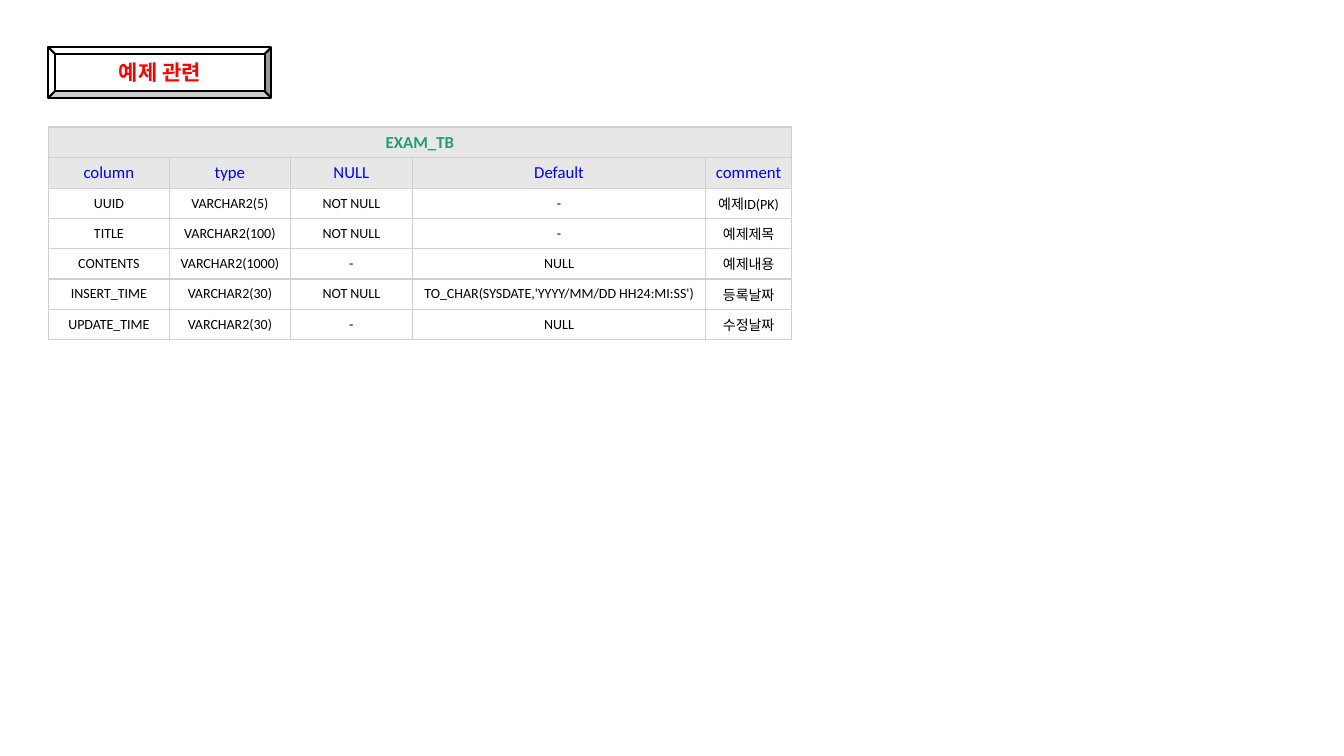
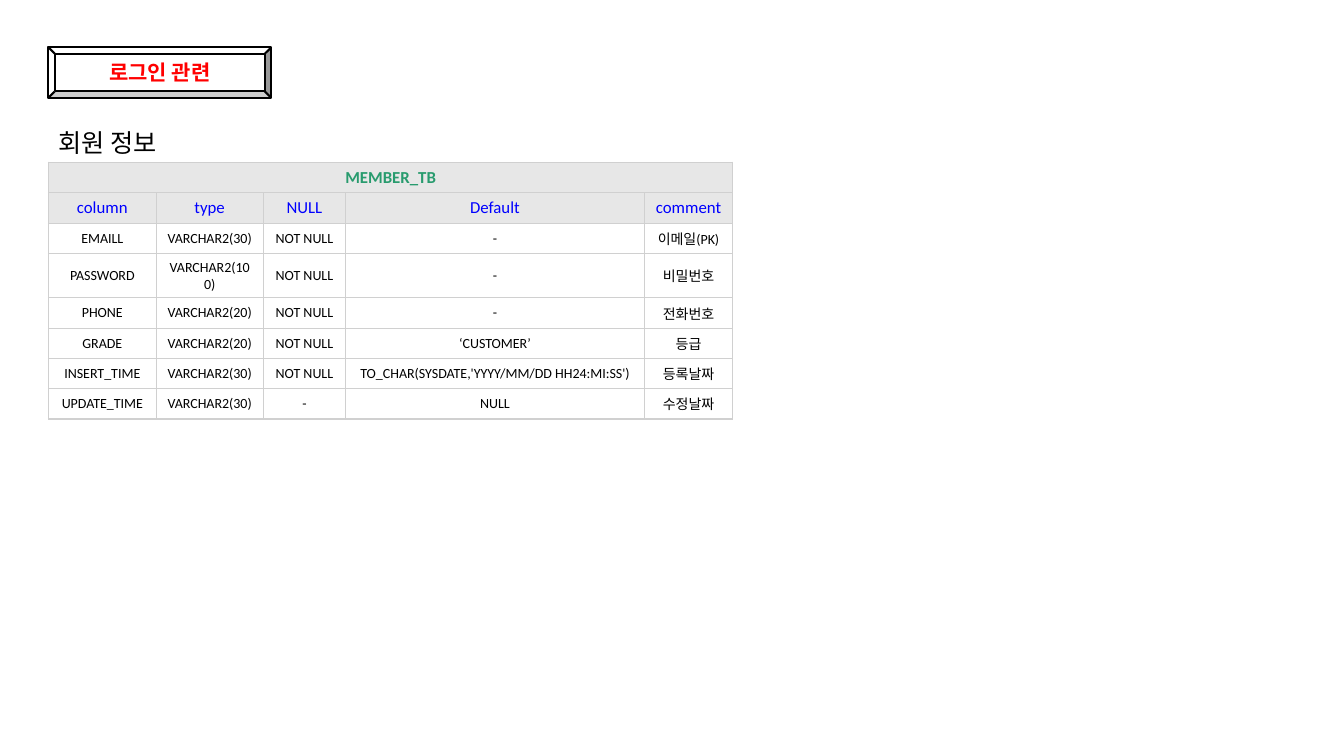
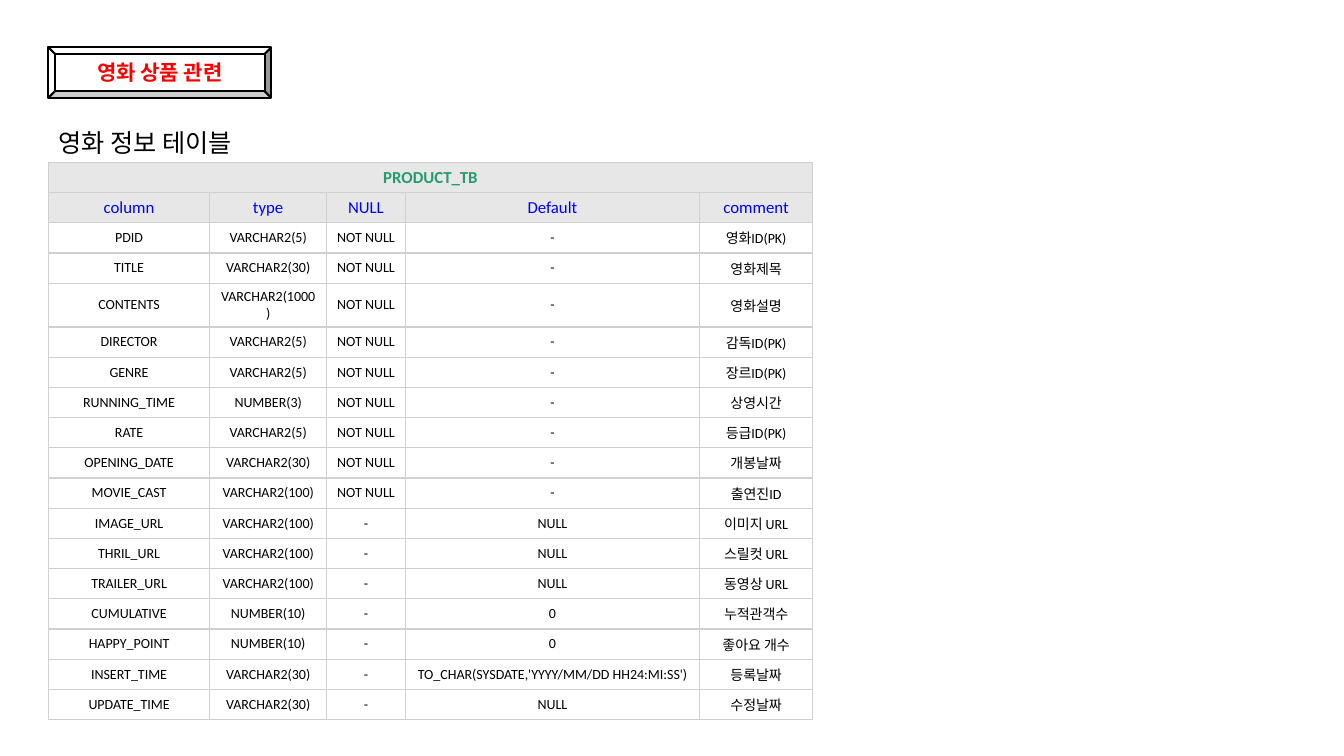
from dataclasses import dataclass

from lxml import etree
from pptx import Presentation
from pptx.dml.color import RGBColor
from pptx.enum.shapes import MSO_SHAPE
from pptx.enum.text import MSO_ANCHOR, PP_ALIGN
from pptx.oxml.ns import qn
from pptx.util import Inches, Pt

BEVEL = MSO_SHAPE.BEVEL
MIDDLE = MSO_ANCHOR.MIDDLE
CENTER = PP_ALIGN.CENTER


@dataclass(frozen=True)
class Theme:
    font: str = "Calibri"
    white: str = "FFFFFF"
    black: str = "000000"
    title: str = "FF0000"
    table_name: str = "289B6E"
    heading: str = "0000FF"
    heading_fill: str = "E7E7E7"
    grid: str = "D0D0D0"
    title_size: float = 15
    caption_size: float = 18
    heading_size: float = 12
    body_size: float = 10
    grid_width: float = 1
    title_line: float = 1.5


THEME = Theme()
LEFT = Inches(0.48)
ROW_HEIGHT = 0.3
HEADINGS = ("column", "type", "NULL", "Default", "comment")
NOW = "TO_CHAR(SYSDATE,'YYYY/MM/DD HH24:MI:SS')"
UPDATE_TIME = ("UPDATE_TIME", "VARCHAR2(30)", "-", "NULL", "수정날짜")

SLIDES = [
    {
        "title": "예제 관련",
        "caption": None,
        "top": 1.26,
        "table": "EXAM_TB",
        "widths": (1.2, 1.2, 1.21, 2.91, 0.85),
        "rows": [
            ("UUID", "VARCHAR2(5)", "NOT NULL", "-", "예제ID(PK)"),
            ("TITLE", "VARCHAR2(100)", "NOT NULL", "-", "예제제목"),
            ("CONTENTS", "VARCHAR2(1000)", "-", "NULL", "예제내용"),
            ("INSERT_TIME", "VARCHAR2(30)", "NOT NULL", NOW, "등록날짜"),
            UPDATE_TIME,
        ],
    },
    {
        "title": "로그인 관련",
        "caption": "회원 정보",
        "top": 1.61,
        "table": "MEMBER_TB",
        "widths": (1.07, 1.06, 0.82, 2.96, 0.88),
        "rows": [
            ("EMAILL", "VARCHAR2(30)", "NOT NULL", "-", "이메일(PK)"),
            ("PASSWORD", "VARCHAR2(100)", "NOT NULL", "-", "비밀번호"),
            ("PHONE", "VARCHAR2(20)", "NOT NULL", "-", "전화번호"),
            ("GRADE", "VARCHAR2(20)", "NOT NULL", "‘CUSTOMER’", "등급"),
            ("INSERT_TIME", "VARCHAR2(30)", "NOT NULL", NOW, "등록날짜"),
            UPDATE_TIME,
        ],
    },
    {
        "title": "영화 상품 관련",
        "caption": "영화 정보 테이블",
        "top": 1.61,
        "table": "PRODUCT_TB",
        "widths": (1.6, 1.16, 0.78, 2.92, 1.12),
        "rows": [
            ("PDID", "VARCHAR2(5)", "NOT NULL", "-", "영화ID(PK)"),
            ("TITLE", "VARCHAR2(30)", "NOT NULL", "-", "영화제목"),
            ("CONTENTS", "VARCHAR2(1000)", "NOT NULL", "-", "영화설명"),
            ("DIRECTOR", "VARCHAR2(5)", "NOT NULL", "-", "감독ID(PK)"),
            ("GENRE", "VARCHAR2(5)", "NOT NULL", "-", "장르ID(PK)"),
            ("RUNNING_TIME", "NUMBER(3)", "NOT NULL", "-", "상영시간"),
            ("RATE", "VARCHAR2(5)", "NOT NULL", "-", "등급ID(PK)"),
            ("OPENING_DATE", "VARCHAR2(30)", "NOT NULL", "-", "개봉날짜"),
            ("MOVIE_CAST", "VARCHAR2(100)", "NOT NULL", "-", "출연진ID"),
            ("IMAGE_URL", "VARCHAR2(100)", "-", "NULL", "이미지 URL"),
            ("THRIL_URL", "VARCHAR2(100)", "-", "NULL", "스릴컷 URL"),
            ("TRAILER_URL", "VARCHAR2(100)", "-", "NULL", "동영상 URL"),
            ("CUMULATIVE", "NUMBER(10)", "-", "0", "누적관객수"),
            ("HAPPY_POINT", "NUMBER(10)", "-", "0", "좋아요 개수"),
            ("INSERT_TIME", "VARCHAR2(30)", "-", NOW, "등록날짜"),
            UPDATE_TIME,
        ],
    },
]


def write(frame, text, size, color, bold=False, align=None):
    frame.text = text
    paragraph = frame.paragraphs[0]
    paragraph.alignment = align
    for run in paragraph.runs:
        run.font.name = THEME.font
        run.font.size = Pt(size)
        run.font.bold = bold
        run.font.color.rgb = RGBColor.from_string(color)


def outline_and_fill(cell, fill):
    """Draw the four cell borders, then the fill, in the order the schema asks for."""
    properties = cell._tc.get_or_add_tcPr()
    for side in ("a:lnL", "a:lnR", "a:lnT", "a:lnB"):
        border = etree.SubElement(properties, qn(side), w=str(Pt(THEME.grid_width)))
        solid = etree.SubElement(border, qn("a:solidFill"))
        etree.SubElement(solid, qn("a:srgbClr"), val=THEME.grid)
    cell.fill.solid()
    cell.fill.fore_color.rgb = RGBColor.from_string(fill)


prs = Presentation()
prs.slide_width = Inches(13.33)
prs.slide_height = Inches(7.5)

for content in SLIDES:
    slide = prs.slides.add_slide(prs.slide_layouts[6])

    rows = [(content["table"], "", "", "", ""), HEADINGS, *content["rows"]]
    widths = content["widths"]
    table = slide.shapes.add_table(
        len(rows), len(widths), LEFT, Inches(content["top"]),
        Inches(sum(widths)), Inches(ROW_HEIGHT * len(rows)),
    ).table
    table.first_row = False
    table.horz_banding = False
    for column, width in zip(table.columns, widths):
        column.width = Inches(width)
    table.cell(0, 0).merge(table.cell(0, len(widths) - 1))

    for row_index, row in enumerate(rows):
        if row_index == 0:
            fill, size, color = THEME.heading_fill, THEME.heading_size, THEME.table_name
        elif row_index == 1:
            fill, size, color = THEME.heading_fill, THEME.heading_size, THEME.heading
        else:
            fill, size, color = THEME.white, THEME.body_size, THEME.black
        for column_index, text in enumerate(row):
            cell = table.cell(row_index, column_index)
            outline_and_fill(cell, fill)
            cell.vertical_anchor = MIDDLE
            if not cell.is_spanned:
                write(cell.text_frame, text, size, color, row_index == 0, CENTER)

    title = slide.shapes.add_shape(BEVEL, LEFT, Inches(0.47), Inches(2.21), Inches(0.5))
    title.adjustments[0] = 0.125
    title.shadow.inherit = False
    title.fill.solid()
    title.fill.fore_color.rgb = RGBColor.from_string(THEME.white)
    title.line.color.rgb = RGBColor.from_string(THEME.black)
    title.line.width = Pt(THEME.title_line)
    title.text_frame.vertical_anchor = MIDDLE
    write(title.text_frame, content["title"], THEME.title_size, THEME.title, True, CENTER)

    if content["caption"]:
        caption = slide.shapes.add_textbox(LEFT, Inches(1.21), Inches(2.98), Inches(0.4))
        caption.text_frame.word_wrap = True
        write(caption.text_frame, content["caption"], THEME.caption_size, THEME.black)

prs.save("out.pptx")
